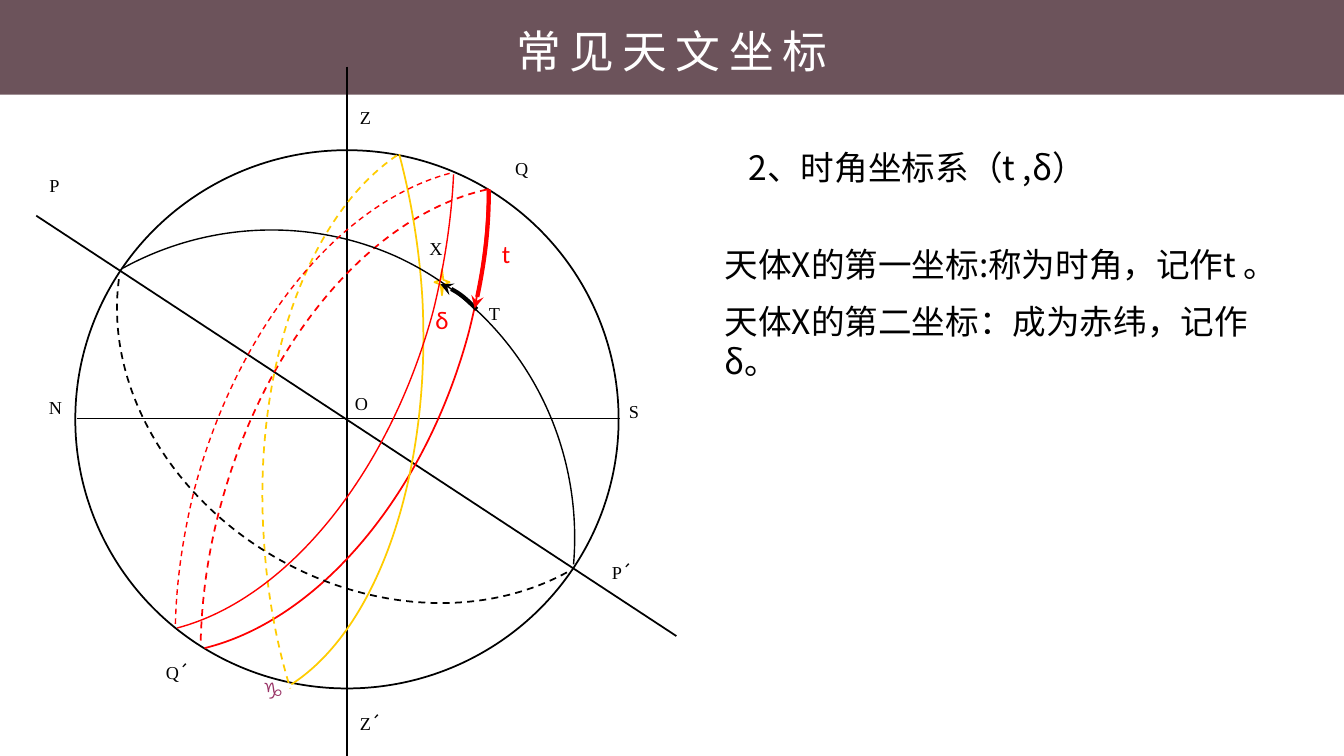
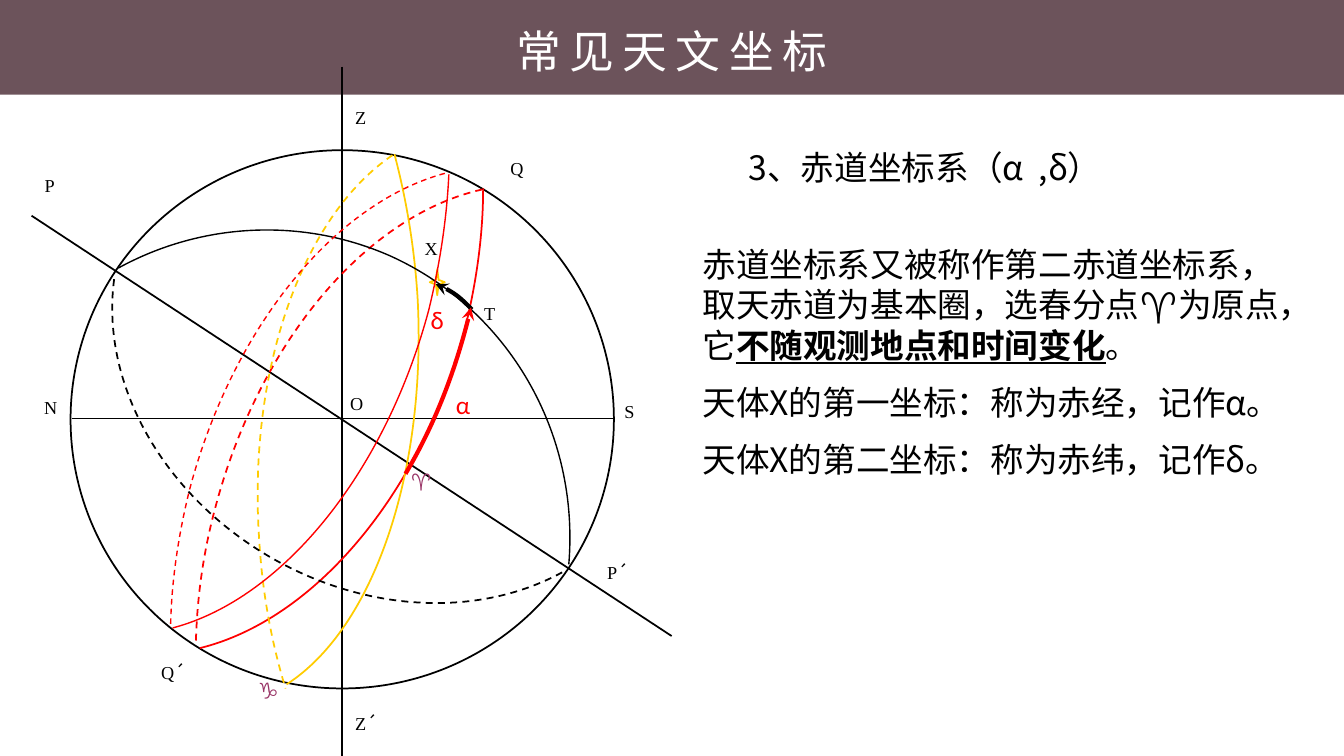
from dataclasses import dataclass

from lxml.etree import SubElement
from pptx import Presentation
from pptx.dml.color import RGBColor as Rgb
from pptx.enum.dml import MSO_LINE as Dash
from pptx.enum.shapes import MSO_CONNECTOR as Conn, MSO_SHAPE as Form
from pptx.enum.text import MSO_ANCHOR as Anchor, PP_ALIGN as Align
from pptx.oxml.ns import qn
from pptx.util import Inches, Pt

CELL = Inches(0.1)  # grid step for columns and rows
COLS, ROWS = 133.33, 75
HEAD = 9.4  # rows taken by the title band


@dataclass(frozen=True)
class Theme:
    band: str = "6C535B"
    white: str = "FFFFFF"
    ink: str = "000000"
    red: str = "FF0000"
    gold: str = "FFCC00"
    plum: str = "993366"
    sans: str = "Noto Sans CJK SC"
    mark: str = "Noto Sans CJK JP"
    serif: str = "Times New Roman"
    latin: str = "Calibri"
    title: int = 32
    body: int = 24
    coord: int = 18
    label: int = 13
    lead: float = 1.2  # line height as a share of the type size
    gap: int = 12
    thin: float = 0.75
    fine: float = 1
    line: float = 1.25
    bold: float = 3


T = Theme()


def cell(*nums):
    return [round(n * CELL) for n in nums]


def bend(item):
    """Turn each three straight segments of a freeform into one cubic curve."""
    track = next(item._element.iter(qn("a:path")))
    legs = track.findall(qn("a:lnTo"))
    for i in range(0, len(legs), 3):
        cubic = SubElement(track, qn("a:cubicBezTo"))
        for leg in legs[i:i + 3]:
            cubic.append(leg[0])
            track.remove(leg)


class Deck:
    def __init__(self):
        self.prs = Presentation()
        self.prs.slide_width, self.prs.slide_height = cell(COLS, ROWS)
        fill = self.prs.slide_master.background.fill
        fill.solid()
        fill.fore_color.rgb = Rgb.from_string(T.band)

    def start(self, title):
        self.slide = self.prs.slides.add_slide(self.prs.slide_layouts[5])
        self.shapes = self.slide.shapes
        self.shape(Form.RECTANGLE, (0, HEAD, COLS, ROWS - HEAD), T.white)
        box = self.shapes.title
        box.left, box.top, box.width, box.height = cell(34.4, 1.85, 64.5, 6.4)
        box.text_frame.vertical_anchor = Anchor.TOP
        par = box.text_frame.paragraphs[0]
        par.alignment = Align.CENTER
        par.line_spacing = Pt(T.title * T.lead)
        run = self.run(par, title, T.title, T.sans, T.white)
        run.font._element.set("spc", "600")

    def run(self, par, text, size, face, tint=T.ink):
        run = par.add_run()
        run.text = text
        font = run.font
        font.size, font.name = Pt(size), face
        font.color.rgb = Rgb.from_string(tint)
        SubElement(font._element, qn("a:ea")).set("typeface", face)
        return run

    def frame(self, area):
        text = self.shapes.add_textbox(*cell(*area)).text_frame
        text.word_wrap = True
        return text

    def prose(self, area, pars):
        """Body text; each paragraph is a list of runs, a * marks stress."""
        text = self.frame(area)
        for i, parts in enumerate(pars):
            par = text.add_paragraph() if i else text.paragraphs[0]
            par.line_spacing = Pt(T.body * T.lead)
            if i:
                par.space_before = Pt(T.gap)
            for part in parts:
                run = self.run(par, part.strip("*"), T.body, T.sans)
                if part.startswith("*"):
                    run.font.bold = run.font.underline = True

    def label(self, text, x, y, size=T.label, face=T.serif, tint=T.ink):
        wide = 7.7 if text[1:] else 3.9
        box = self.frame((x, y, wide, 5))
        box.margin_left = box.margin_right = Inches(0.13)
        box.margin_top = box.margin_bottom = Inches(0.07)
        par = box.paragraphs[0]
        self.run(par, text[0], size, face, tint)
        if text[1:]:
            self.run(par, text[1:], size, T.mark, tint)

    def pen(self, line, tint, width, dash=False):
        line.color.rgb = Rgb.from_string(tint)
        line.width = Pt(width)
        if dash:
            line.dash_style = Dash.DASH

    def shape(self, form, area, fill=None, tint=None):
        item = self.shapes.add_shape(form, *cell(*area))
        item.shadow.inherit = False
        if fill:
            item.fill.solid()
            item.fill.fore_color.rgb = Rgb.from_string(fill)
        else:
            item.fill.background()
        if tint:
            self.pen(item.line, tint, T.line)
        else:
            item.line.fill.background()
        return item

    def rule(self, ends, width):
        item = self.shapes.add_connector(Conn.STRAIGHT, *cell(*ends))
        self.pen(item.line, T.ink, width)
        SubElement(item._element.spPr, qn("a:effectLst"))

    def curve(self, pts, tint, width, dash=False, tip=False, dx=0):
        """Open curve; tip puts an arrowhead at its start."""
        first, *rest = [cell(x + dx, y) for x, y in pts]
        form = self.shapes.build_freeform(*first, scale=1.0)
        form.add_line_segments(rest, close=False)
        item = form.convert_to_shape()
        bend(item)
        item.shadow.inherit = False
        item.fill.background()
        self.pen(item.line, tint, width, dash)
        if tip:
            SubElement(item.line._ln, qn("a:headEnd")).set("type", "stealth")

    def sphere(self, dx, arc, marks):
        """Celestial sphere moved by dx, with its own arc and marks."""
        self.shape(Form.OVAL, (7.47 + dx, 14.9, 53.9, 53.4), tint=T.ink)
        for x, y, x2, y2, width in AXES:
            self.rule((x + dx, y, x2 + dx, y2), width)
        star = self.shape(Form.STAR_4_POINT, (43.1 + dx, 26.7, 1.5, 2.6),
                          T.white, T.gold)
        star.adjustments[0] = 0.125
        for pts, *style in ARCS:
            self.curve(pts, *style, dx=dx)
        self.curve(arc, T.red, T.bold, tip=True, dx=dx)
        for text, x, y in NAMES:
            self.label(text, x + dx, y)
        for text, x, y, *style in SIGNS + marks:
            self.label(text, x + dx, y, *style)


SIGN = (T.label, T.sans, T.plum)
COORD = (T.coord, T.latin, T.red)

AXES = [
    (34.4, 6.6, 34.4, 75, T.line),
    (7.6, 41.5, 61.5, 41.5, T.thin),
    (3.6, 21.4, 67.1, 63.1, T.line),
]
NAMES = [
    ("Z", 34.4, 9.85), ("P", 3.6, 16.6), ("Q", 49.8, 14.9), ("N", 3.55, 38.65),
    ("S", 61.1, 39.05), ("O", 33.9, 38.2), ("X", 41.3, 22.85),
    ("T", 47.2, 29.25), ("Q´", 15.15, 64.95), ("P´", 59.4, 54.95),
    ("Z´", 34.4, 70),
]
SIGNS = [("♑", 24.8, 66.6, *SIGN), ("δ", 41.9, 29.5, *COORD)]
ARCS = [
    # equator
    ([(48.3, 18.8), (36.7, 21.4), (26.1, 34.1), (21.8, 50.5),
      (20.6, 55), (20, 59.5), (19.9, 64)], T.red, T.line, True),
    ([(20.3, 64.3), (31.7, 61.5), (42.2, 49), (46.5, 33),
      (47.7, 28.3), (48.4, 23.4), (48.4, 18.7)], T.red, T.line),
    # ecliptic
    ([(39.4, 15.4), (30.4, 21.5), (25, 36.9), (26.2, 53.7),
      (26.5, 58.8), (27.4, 63.7), (28.8, 68.3)], T.gold, T.line, True),
    ([(28.9, 67.9), (37.6, 62.3), (42.8, 46.8), (41.9, 29.6),
      (41.6, 24.7), (40.8, 19.8), (39.6, 15.3)], T.gold, T.line),
    # hour circle through the star
    ([(11.8, 27.7), (10.4, 38.2), (16.8, 49.3), (27.5, 55.4),
      (37, 60.8), (48.1, 61.3), (56.4, 56.7)], T.ink, T.line, True),
    ([(56.9, 56), (58, 42.9), (50.9, 30.7), (39.2, 25.4),
      (30.6, 21.6), (20.6, 22), (12.2, 26.6)], T.ink, T.fine),
    ([(43.7, 28.2), (44.9, 28.6), (46, 29.4), (47, 30.4),
      (47.1, 30.5), (47.2, 30.6), (47.3, 30.7)], T.ink, T.bold, False, True),
    # parallel of declination
    ([(44.6, 17.2), (33.5, 20.2), (23.5, 32.7), (19.3, 48.5),
      (18.2, 52.9), (17.5, 57.5), (17.4, 61.9)], T.red, T.fine, True),
    ([(17.6, 62.3), (28.6, 59.4), (38.7, 46.8), (43, 30.8),
      (44.1, 26.3), (44.8, 21.7), (45, 17.3)], T.red, T.fine),
]

PAGES = [
    dict(
        head="2、时角坐标系（t ,δ）",
        area=(70.9, 23.7, 58.1, 11.1),
        pars=[["天体X的第一坐标:称为时角，记作t 。"],
              ["天体X的第二坐标：成为赤纬，记作δ。"]],
        dx=0,
        arc=[(47.1, 30.6), (48, 26.7), (48.5, 22.7), (48.5, 18.8)],
        marks=[("t", 48.5, 22.9, *COORD)],
    ),
    dict(
        head="3、赤道坐标系（α  ,δ）",
        area=(68.7, 23.7, 60.2, 25.2),
        pars=[["赤道坐标系又被称作第二赤道坐标系，取天赤道为基本圈，选春分点♈为原点，它",
               "*不随观测地点和时间变化*", "。"],
              ["天体X的第一坐标：称为赤经，记作α。"],
              ["天体X的第二坐标：称为赤纬，记作δ。"]],
        dx=-0.47,
        arc=[(47.2, 30.5), (45.8, 36.4), (43.6, 42.1), (40.7, 47)],
        marks=[("♈", 39.9, 45.9, *SIGN), ("α", 44.4, 37.9, *COORD)],
    ),
]


def main():
    deck = Deck()
    for page in PAGES:
        deck.start("常见天文坐标")
        deck.prose((73.3, 14.1, 58.3, 5), [[page["head"]]])
        deck.prose(page["area"], page["pars"])
        deck.sphere(page["dx"], page["arc"], page["marks"])
    deck.prs.save("out.pptx")


if __name__ == "__main__":
    main()
